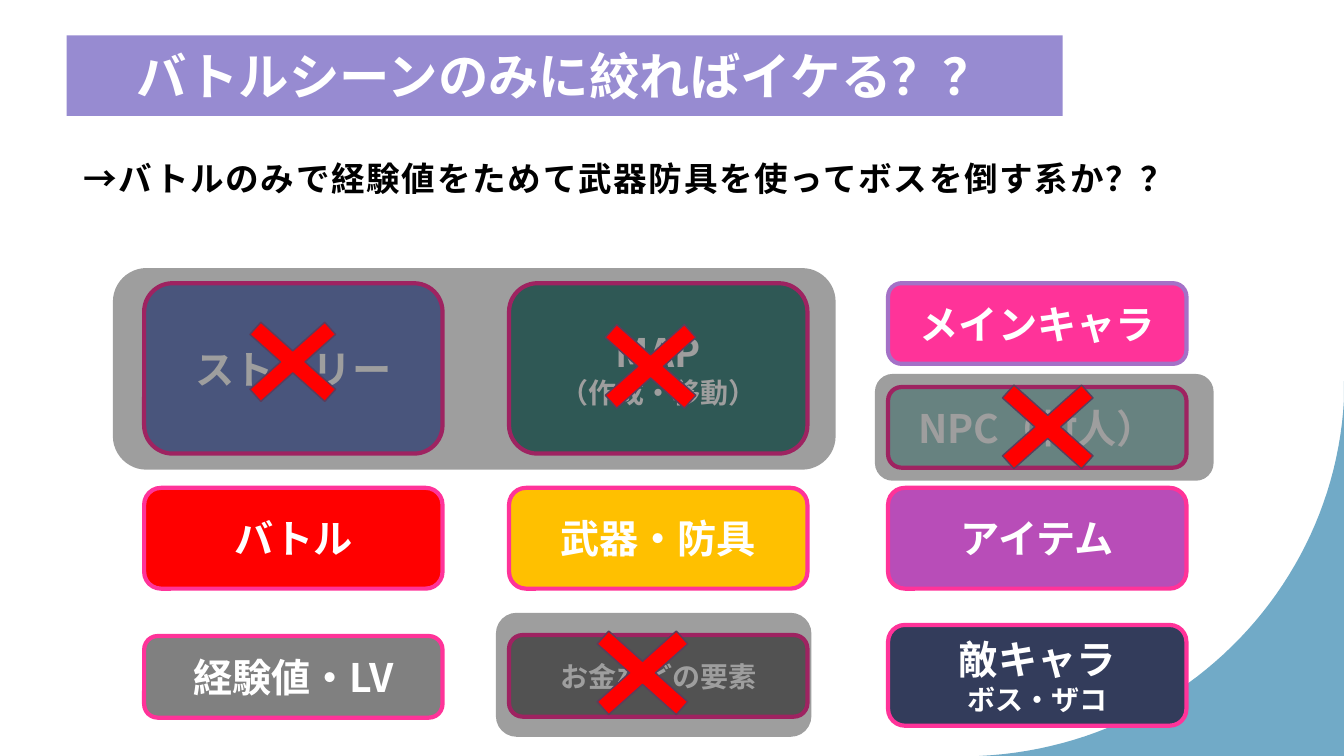
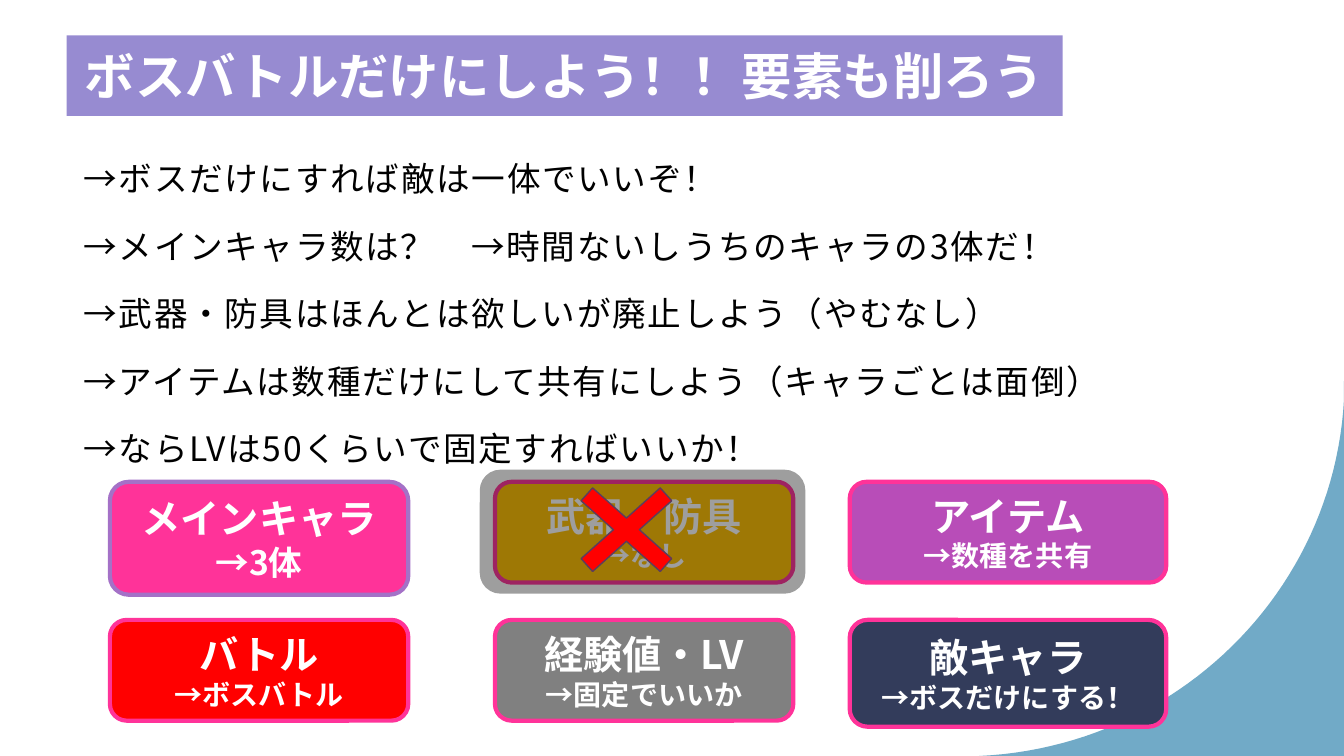
from dataclasses import dataclass

from lxml import etree
from pptx import Presentation
from pptx.dml.color import RGBColor
from pptx.enum.shapes import MSO_SHAPE
from pptx.enum.text import MSO_ANCHOR, MSO_AUTO_SIZE, PP_ALIGN
from pptx.oxml.ns import qn
from pptx.util import Inches, Pt

ROUNDED = MSO_SHAPE.ROUNDED_RECTANGLE
MULTIPLY = MSO_SHAPE.MATH_MULTIPLY
MIDDLE = MSO_ANCHOR.MIDDLE
CENTER = PP_ALIGN.CENTER
LEFT = PP_ALIGN.LEFT
NO_AUTOFIT = MSO_AUTO_SIZE.NONE

GRID_COLUMNS = 40
GRID_ROWS = 30
CARD_WIDTH = 8.88
CARD_HEIGHT = 4
CROSS_SIZE = (4.53, 5.4)
SMALL_CROSS_SIZE = (4.29, 5.12)


@dataclass(frozen=True)
class Theme:
    font: str = "Noto Sans CJK JP"
    title_size: int = 36
    card_size: int = 28
    body_size: int = 24
    detail_size: int = 20
    body_tracking: float = 1.2
    white: str = "FFFFFF"
    black: str = "000000"
    band: str = "978BD1"
    corner: str = "71AAC7"
    pink: str = "FF3399"
    lilac: str = "A471C7"
    red: str = "FF0000"
    blue: str = "7186C7"
    teal: str = "468A85"
    pale_teal: str = "A3D0CD"
    amber: str = "FFC000"
    violet: str = "B84DB8"
    gray: str = "808080"
    navy: str = "333C5B"
    veil: str = "0D0D0D"
    veil_opacity: int = 40
    cross_line: str = "5C3D5C"


THEME = Theme()


def write_text(paragraph, text, size, color=THEME.white, bold=True, align=CENTER, tracking=0):
    paragraph.alignment = align
    run = paragraph.add_run()
    run.text = text
    run.font.size = Pt(size)
    run.font.bold = bold
    run.font.name = THEME.font
    run.font.color.rgb = RGBColor.from_string(color)
    properties = run.font._element
    etree.SubElement(properties, qn("a:ea")).set("typeface", THEME.font)
    if tracking:
        properties.set("spc", str(round(tracking * 100)))


def bezier_points(start, first_control, second_control, end, steps=48):
    for step in range(1, steps + 1):
        t = step / steps
        weights = ((1 - t) ** 3, 3 * t * (1 - t) ** 2, 3 * t * t * (1 - t), t ** 3)
        anchors = (start, first_control, second_control, end)
        yield tuple(sum(w * a[axis] for w, a in zip(weights, anchors)) for axis in (0, 1))


class Deck:
    def __init__(self):
        self.presentation = Presentation()
        self.presentation.slide_width = Inches(13.33)
        self.presentation.slide_height = Inches(7.5)
        self.layout = self.presentation.slide_layouts[5]
        self.slide = None

    def place(self, column, row):
        return (
            round(column * self.presentation.slide_width / GRID_COLUMNS),
            round(row * self.presentation.slide_height / GRID_ROWS),
        )

    def box(self, left, top, width, height):
        return *self.place(left, top), *self.place(width, height)

    def add_slide(self, title):
        first = self.slide is None
        self.slide = self.presentation.slides.add_slide(self.layout)
        if first:
            self.add_shared_corner()
        self.set_title(title)

    def add_shared_corner(self):
        curve = bezier_points((29.14, 30), (35.02, 29.64), (39.7, 23.48), (40, 15.84))
        outline = [self.place(*point) for point in ((40, 30), (28.9, 30), (29.14, 30), *curve)]
        builder = self.slide.shapes.build_freeform(*self.place(40, 15.12), scale=1.0)
        builder.add_line_segments(outline, close=True)
        corner = builder.convert_to_shape()
        self.paint(corner, THEME.corner)
        self.layout.shapes.element.insert(2, corner.element)

    def set_title(self, text):
        title = self.slide.shapes.title
        title.left, title.top, title.width, title.height = self.box(1.98, 1.4, 29.65, 3.2)
        title.fill.solid()
        title.fill.fore_color.rgb = RGBColor.from_string(THEME.band)
        frame = title.text_frame
        frame.auto_size = NO_AUTOFIT
        frame.vertical_anchor = MIDDLE
        frame.margin_left = frame.margin_right = Inches(0.1)
        frame.margin_top = frame.margin_bottom = Inches(0.1)
        write_text(frame.paragraphs[0], text, THEME.title_size)

    def paint(self, shape, fill, line=None, line_width=3):
        shape.shadow.inherit = False
        shape.fill.solid()
        shape.fill.fore_color.rgb = RGBColor.from_string(fill)
        if line:
            shape.line.color.rgb = RGBColor.from_string(line)
            shape.line.width = Pt(line_width)
        else:
            shape.line.fill.background()

    def add_body(self, lines, bold=False):
        frame = self.slide.shapes.add_textbox(*self.box(1.98, 5, 34.78, 24.36)).text_frame
        frame.word_wrap = True
        frame.margin_left = frame.margin_right = frame.margin_top = Inches(0.12)
        frame.margin_bottom = Inches(0.1)
        for index, line in enumerate(lines):
            paragraph = frame.add_paragraph() if index else frame.paragraphs[0]
            paragraph.line_spacing = 1.5
            paragraph.space_before = Pt(5 if index else 0)
            paragraph._p.get_or_add_pPr().set("marL", str(Inches(0.05)))
            write_text(paragraph, line, THEME.body_size, color=THEME.black, bold=bold,
                       align=LEFT, tracking=THEME.body_tracking)

    def add_card(self, left, top, text, fill, detail="", width=CARD_WIDTH, height=CARD_HEIGHT,
                 line=THEME.pink, size=THEME.card_size, detail_size=THEME.detail_size):
        card = self.slide.shapes.add_shape(ROUNDED, *self.box(left, top, width, height))
        self.paint(card, fill, line)
        frame = card.text_frame
        frame.vertical_anchor = MIDDLE
        write_text(frame.paragraphs[0], text, size)
        if detail:
            write_text(frame.add_paragraph(), detail, detail_size)

    def add_veil(self, left, top, width, height):
        veil = self.slide.shapes.add_shape(ROUNDED, *self.box(left, top, width, height))
        self.paint(veil, THEME.veil)
        color = veil.fill._xPr.find(qn("a:solidFill"))[0]
        etree.SubElement(color, qn("a:alpha")).set("val", str(THEME.veil_opacity * 1000))

    def add_cross(self, left, top, size=CROSS_SIZE):
        cross = self.slide.shapes.add_shape(MULTIPLY, *self.box(left, top, *size))
        cross.adjustments[0] = 0.127
        self.paint(cross, THEME.red, THEME.cross_line, 1)


def build_battle_scene(deck):
    left, center, right = 4.29, 15.15, 26.43
    top, middle = 11.24, 19.36
    deck.add_slide("バトルシーンのみに絞ればイケる？？")
    deck.add_body(["→バトルのみで経験値をためて武器防具を使ってボスを倒す系か？？"], bold=True)
    deck.add_card(left, top, "ストーリー", THEME.blue, height=6.76)
    deck.add_card(center, top, "MAP", THEME.teal, "（作成・移動）", height=6.76)
    deck.add_card(right, top, "メインキャラ", THEME.pink, height=3.2, line=THEME.lilac)
    deck.add_card(right, 15.36, "NPC（村人）", THEME.pale_teal, height=3.2)
    deck.add_card(left, middle, "バトル", THEME.red)
    deck.add_card(center, middle, "武器・防具", THEME.amber)
    deck.add_card(right, middle, "アイテム", THEME.violet)
    deck.add_card(left, 25.24, "経験値・LV", THEME.gray, height=3.24)
    deck.add_card(center, 25.2, "お金などの要素", THEME.gray, height=3.24,
                  size=THEME.detail_size)
    deck.add_card(right, 24.8, "敵キャラ", THEME.navy, "ボス・ザコ")
    deck.add_veil(3.36, 10.64, 21.51, 8)
    deck.add_veil(26.04, 14.84, 10.08, 4.24)
    deck.add_veil(14.76, 24.32, 9.39, 4.92)
    deck.add_cross(6.57, 11.8, SMALL_CROSS_SIZE)
    for position in ((17.1, 11.84), (28.92, 14.24), (16.86, 24)):
        deck.add_cross(*position)


def build_boss_battle(deck):
    left, center, right = 3.27, 14.73, 25.29
    top, bottom = 19.12, 24.6
    wide = 9.42
    deck.add_slide("ボスバトルだけにしよう！！要素も削ろう")
    deck.add_body([
        "→ボスだけにすれば敵は一体でいいぞ！",
        "→メインキャラ数は？　→時間ないしうちのキャラの3体だ！",
        "→武器・防具はほんとは欲しいが廃止しよう（やむなし）",
        "→アイテムは数種だけにして共有にしよう（キャラごとは面倒）",
        "→ならLVは50くらいで固定すればいいか！",
    ])
    deck.add_card(left, top, "メインキャラ", THEME.pink, "→3体", height=4.48,
                  line=THEME.lilac, detail_size=THEME.body_size)
    deck.add_card(center, top, "武器・防具", THEME.amber, "→なし")
    deck.add_card(right, top, "アイテム", THEME.violet, "→数種を共有", width=wide)
    deck.add_card(left, bottom, "バトル", THEME.red, "→ボスバトル")
    deck.add_card(center, bottom, "経験値・LV", THEME.gray, "→固定でいいか")
    deck.add_card(right, bottom, "敵キャラ", THEME.navy, "→ボスだけにする！",
                  width=wide, height=4.24)
    deck.add_veil(14.28, 18.64, 9.69, 4.92)
    deck.add_cross(16.38, 18.32)


def main():
    deck = Deck()
    build_battle_scene(deck)
    build_boss_battle(deck)
    deck.presentation.save("out.pptx")


if __name__ == "__main__":
    main()
